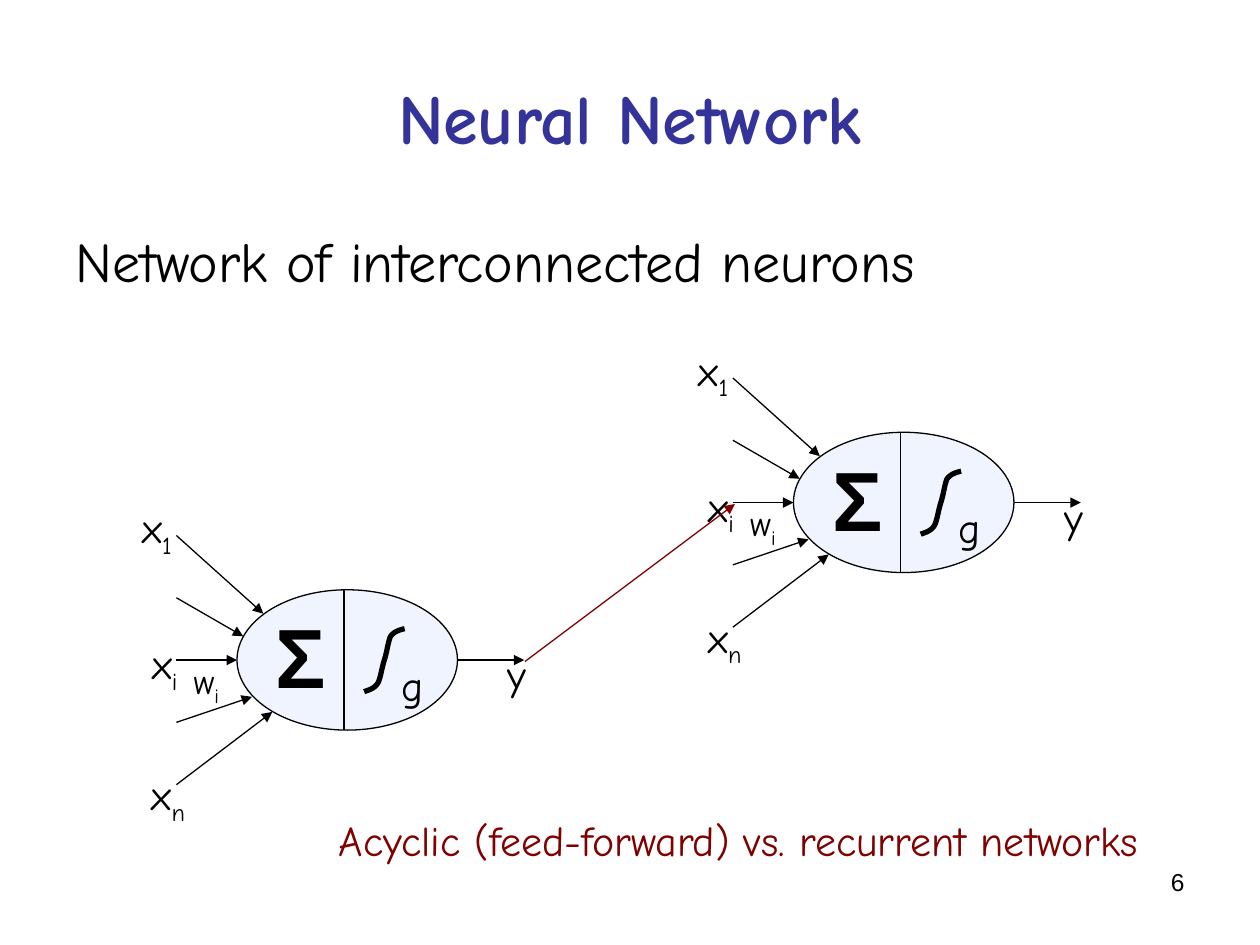
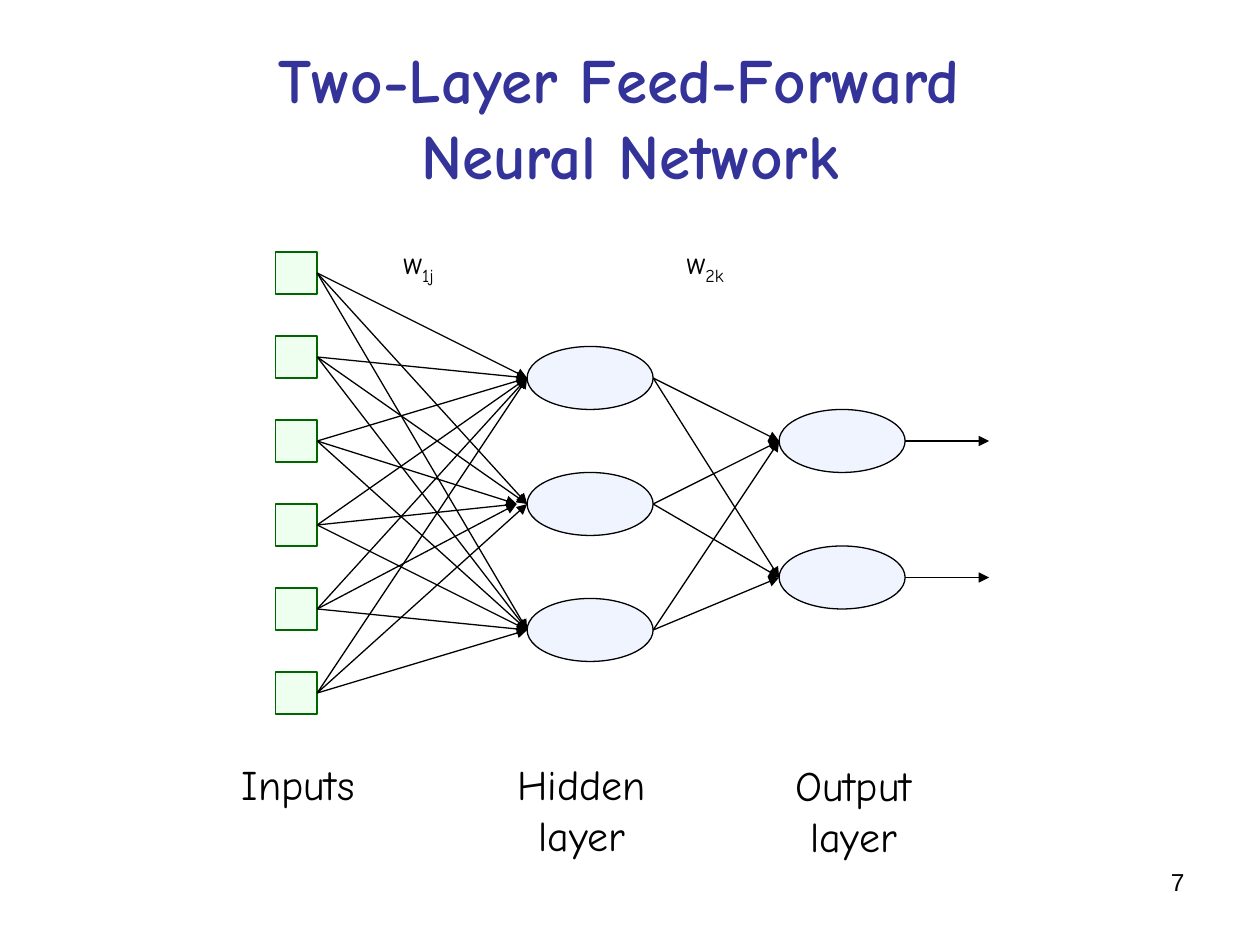
from itertools import product

from pptx import Presentation
from pptx.dml.color import RGBColor
from pptx.enum.shapes import MSO_CONNECTOR, MSO_SHAPE
from pptx.enum.text import MSO_ANCHOR, MSO_AUTO_SIZE, PP_ALIGN
from pptx.oxml.ns import qn
from pptx.util import Pt
from lxml import etree

BLACK = RGBColor(0x00, 0x00, 0x00)
TITLE_BLUE = RGBColor(0x33, 0x33, 0x99)
DARK_RED = RGBColor(0x80, 0x00, 0x00)
NEURON_FILL = RGBColor(0xF0, 0xF4, 0xFE)
INPUT_FILL = RGBColor(0xEF, 0xFF, 0xEF)
INPUT_LINE = RGBColor(0x00, 0x66, 0x00)

BODY_FONT = "Comic Neue"
PLAIN_FONT = "Arial"
THIN = 0.75

# Neuron parts, measured from the top left of its ellipse
NEURON_W, NEURON_H = 126, 80.2
NEURON_MID = 40.2
INPUT_X, INPUT_TOP, INPUT_STEP = -34.6, -31, 35.6
INPUT_ENDS = [(15.1, 13.7), (3.6, 26.6), (0, NEURON_MID), (8.6, 61.2), (20.2, 69.8)]
OUTPUT_X = 164.2
SIGMOID_START = (95.8, 22.3)
SIGMOID_CURVES = [
    [(92.9, 23), (90, 23.8), (87.8, 26.6)],
    [(86.4, 29.5), (85.7, 36), (84.2, 40.3)],
    [(82.8, 44.6), (82.1, 50.4), (80.6, 53.3)],
    [(78.5, 56.9), (74.2, 57.6), (72.7, 58.3)],
]
NEURON_LABELS = [  # text, subscript, size, box
    ("g", "", 24, (87.1, 36.2, 26.6, 36)),
    ("x", "i", 24, (-55.6, 24, 29, 40.3)),
    ("x", "1", 24, (-61.2, -53.8, 31.2, 40.3)),
    ("x", "n", 24, (-55.8, 98.8, 35, 40.3)),
    ("y", "", 24, (147.6, 30.2, 25.2, 36)),
    ("w", "i", 20, (-31.9, 36.2, 29, 34.6)),
]


def add_run(p, text, size, color=BLACK, font=BODY_FONT, bold=False):
    r = p.add_run()
    r.text = text
    r.font.name = font
    r.font.size = Pt(size)
    r.font.bold = bold
    r.font.color.rgb = color
    return r


def add_text(shapes, box, lines, size, align=PP_ALIGN.LEFT, wrap=False, sub="", **style):
    """Add a text box with one paragraph per line and an optional subscript at the end."""
    tf = shapes.add_textbox(*map(Pt, box)).text_frame
    tf.word_wrap = wrap
    tf.auto_size = MSO_AUTO_SIZE.NONE if wrap else MSO_AUTO_SIZE.SHAPE_TO_FIT_TEXT
    for i, line in enumerate(lines):
        p = tf.add_paragraph() if i else tf.paragraphs[0]
        p.alignment = align
        add_run(p, line, size, **style)
    if sub:
        r = add_run(p, sub, size, **style)
        r.font._element.set("baseline", "-25000")
    return tf


def add_node(shapes, kind, box, fill, line=BLACK):
    sp = shapes.add_shape(kind, *map(Pt, box))
    sp.shadow.inherit = False
    sp.fill.solid()
    sp.fill.fore_color.rgb = fill
    sp.line.color.rgb = line
    sp.line.width = Pt(THIN)


def add_line(shapes, start, end, color=BLACK, arrow=True):
    cn = shapes.add_connector(MSO_CONNECTOR.STRAIGHT, *map(Pt, (*start, *end)))
    cn.line.color.rgb = color
    cn.line.width = Pt(THIN)
    if arrow:
        etree.SubElement(cn.line._get_or_add_ln(), qn("a:tailEnd"), type="triangle")
    etree.SubElement(cn._element.spPr, qn("a:effectLst"))


def bezier_points(start, curves, steps=8):
    """Return the points along a chain of cubic curves, without the start."""
    points = []
    for c1, c2, end in curves:
        for i in range(1, steps + 1):
            t = i / steps
            u = 1 - t
            points.append(tuple(
                u**3 * a + 3 * u * u * t * b + 3 * u * t * t * c + t**3 * d
                for a, b, c, d in zip(start, c1, c2, end)))
        start = end
    return points


def add_curve(shapes, start, points, width):
    builder = shapes.build_freeform(*map(Pt, start))
    builder.add_line_segments([(Pt(x), Pt(y)) for x, y in points], close=False)
    sp = builder.convert_to_shape()
    sp.shadow.inherit = False
    sp.fill.background()
    sp.line.color.rgb = BLACK
    sp.line.width = Pt(width)


def add_neuron(slide, left, top):
    shapes = slide.shapes.add_group_shape().shapes

    def at(x, y):
        return left + x, top + y

    add_node(shapes, MSO_SHAPE.OVAL, (left, top, NEURON_W, NEURON_H), NEURON_FILL)
    add_line(shapes, at(61.2, 0), at(61.2, NEURON_H), arrow=False)
    curve = bezier_points(SIGMOID_START, SIGMOID_CURVES)
    add_curve(shapes, at(*SIGMOID_START), [at(*point) for point in curve], 3)
    add_text(shapes, (*at(15.1, 5), 42.5, 64.8), ["Σ"], 48, font=PLAIN_FONT, bold=True)
    for i, end in enumerate(INPUT_ENDS):
        add_line(shapes, at(INPUT_X, INPUT_TOP + i * INPUT_STEP), at(*end))
    add_line(shapes, at(NEURON_W, NEURON_MID), at(OUTPUT_X, NEURON_MID))
    for text, sub, size, (x, y, w, h) in NEURON_LABELS:
        add_text(shapes, (*at(x, y), w, h), [text], size, sub=sub)


def add_slide(prs, number, title_lines, title_size):
    slide = prs.slides.add_slide(prs.slide_layouts[5])
    title = slide.shapes.title
    title.left, title.top, title.width, title.height = map(Pt, (36, 21.6, 648, 90))
    tf = title.text_frame
    tf.word_wrap = True
    tf.auto_size = MSO_AUTO_SIZE.NONE
    tf.vertical_anchor = MSO_ANCHOR.MIDDLE
    p = tf.paragraphs[0]
    p.alignment = PP_ALIGN.CENTER
    for i, line in enumerate(title_lines):
        if i:
            p.add_line_break()
        add_run(p, line, title_size, TITLE_BLUE, bold=True)
    add_text(slide.shapes, (516, 492, 168, 37.5), [str(number)], 14,
             PP_ALIGN.RIGHT, wrap=True, font=PLAIN_FONT)
    return slide


def build_neural_network(prs):
    slide = add_slide(prs, 6, ["Neural Network"], 40)
    tf = add_text(slide.shapes, (36, 126, 648, 356.4),
                  ["Network of interconnected neurons"], 32, wrap=True)
    tf.paragraphs[0].space_before = Pt(8)
    add_neuron(slide, 135.4, 337)
    add_neuron(slide, 453.4, 247)
    add_line(slide.shapes, (300, 378), (420, 288), DARK_RED)
    add_text(slide.shapes, (186.5, 462.2, 474.5, 36),
             ["Acyclic (feed-forward) vs. recurrent networks"], 24, color=DARK_RED)


def build_two_layer_network(prs):
    slide = add_slide(prs, 7, ["Two-Layer Feed-Forward ", "Neural Network"], 36)
    shapes = slide.shapes.add_group_shape().shapes
    input_x, hidden_x, output_x = 157.25, 301.25, 445.25
    square, node_w, node_h = 24, 72, 36
    input_ys = [156 + 48 * i for i in range(6)]
    hidden_ys = [216 + 72 * i for i in range(3)]
    output_ys = [252, 330]

    for x, ys in ((hidden_x, hidden_ys), (output_x, output_ys)):
        for y in ys:
            add_node(shapes, MSO_SHAPE.OVAL, (x, y - node_h / 2, node_w, node_h), NEURON_FILL)
    for y in input_ys:
        add_node(shapes, MSO_SHAPE.RECTANGLE, (input_x, y - square / 2, square, square),
                 INPUT_FILL, INPUT_LINE)

    for y_in, y_hid in product(input_ys, hidden_ys):
        # Arrows from the central inputs stop just short of the middle neuron
        short = y_hid == hidden_ys[1] and y_in in input_ys[2:5]
        add_line(shapes, (input_x + square, y_in), (hidden_x - (6 if short else 0), y_hid))
    for y_hid, y_out in product(hidden_ys, output_ys):
        add_line(shapes, (hidden_x + node_w, y_hid), (output_x, y_out))
    for y in output_ys:
        add_line(shapes, (output_x + node_w, y), (output_x + node_w + 48, y))

    add_text(shapes, (131, 430, 81, 36), ["Inputs"], 24)
    add_text(shapes, (288.5, 430, 88, 64.8), ["Hidden", "layer"], 24, PP_ALIGN.CENTER)
    add_text(shapes, (447.2, 430.6, 81, 64.8), ["Output", "layer"], 24, PP_ALIGN.CENTER)
    add_text(slide.shapes, (223.4, 135.4, 32, 31.7), ["w"], 18, sub="1j")
    add_text(slide.shapes, (385.2, 135.4, 37, 31.7), ["w"], 18, sub="2k")


def main():
    prs = Presentation()
    prs.slide_width, prs.slide_height = Pt(720), Pt(540)
    build_neural_network(prs)
    build_two_layer_network(prs)
    prs.save("out.pptx")


if __name__ == "__main__":
    main()
